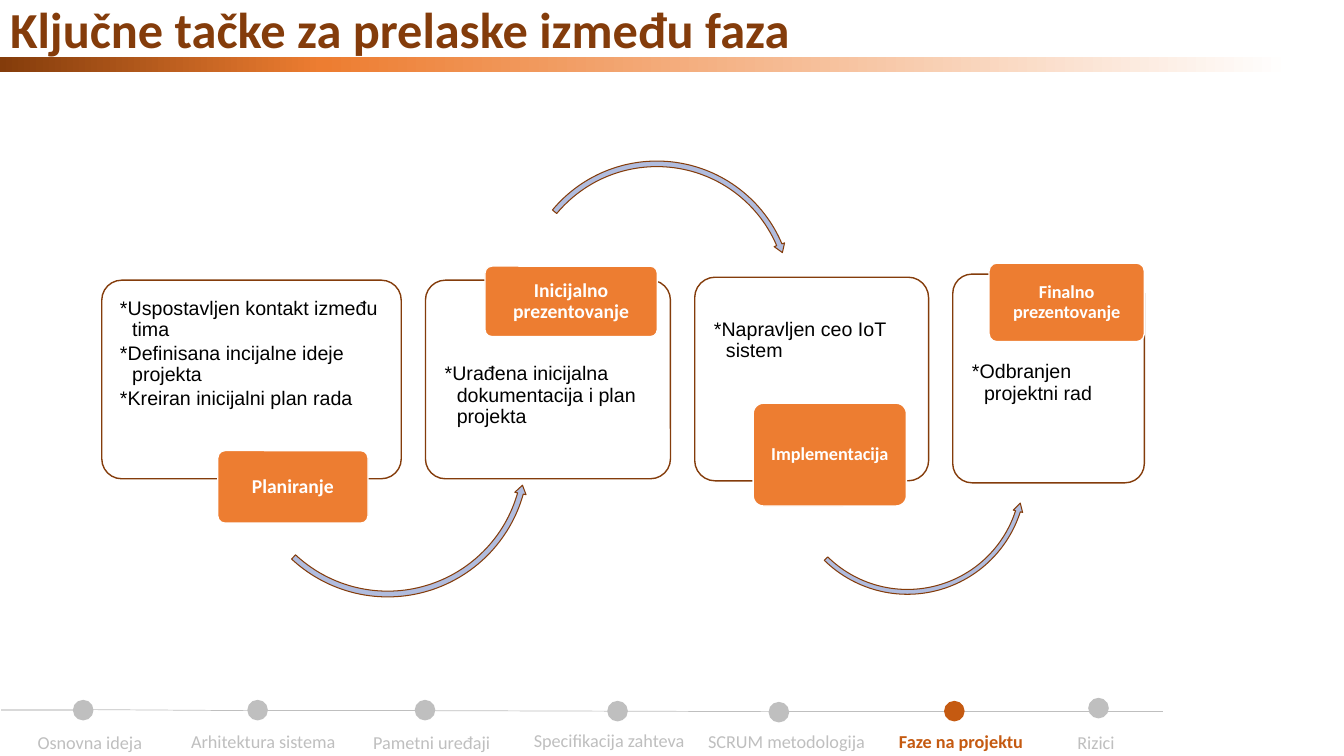
import copy

import pptx
import pptx.dml.color
import pptx.enum.shapes
import pptx.enum.text
import pptx.oxml
import pptx.oxml.ns
import pptx.util

Inches = pptx.util.Inches
Pt = pptx.util.Pt
RGBColor = pptx.dml.color.RGBColor
Shape = pptx.enum.shapes.MSO_SHAPE
Align = pptx.enum.text.PP_ALIGN
Anchor = pptx.enum.text.MSO_ANCHOR
qn = pptx.oxml.ns.qn

BROWN = RGBColor(0x84, 0x3C, 0x0B)
ORANGE = RGBColor(0xED, 0x7D, 0x31)
RUST = RGBColor(0xC5, 0x5A, 0x11)
BLUE = RGBColor(0xB0, 0xBC, 0xDE)
GREY = RGBColor(0xBF, 0xBF, 0xBF)
LIGHT_GREY = RGBColor(0xD9, 0xD9, 0xD9)
WHITE = RGBColor(0xFF, 0xFF, 0xFF)
BLACK = RGBColor(0, 0, 0)

COMPARISON_LAYOUT = 4  # a title and four bodies

# box, text area, goals, label area, label, label size
PHASES = [
    ((1.01, 2.78, 2.97, 1.97), (1.05, 2.82, 2.88, 1.46),
     ["*Uspostavljen kontakt između tima",
      "*Definisana incijalne ideje projekta",
      "*Kreiran inicijalni plan rada"],
     (2.16, 4.47, 1.49, 0.72), "Planiranje", 14),
    ((4.22, 2.78, 2.43, 1.97), (4.27, 3.47, 2.34, 1.22),
     ["*Urađena inicijalna dokumentacija i plan projekta"],
     (4.81, 2.64, 1.71, 0.7), "Inicijalno prezentovanje", 14),
    ((6.89, 2.75, 2.32, 2.02), (6.94, 3.03, 2.23, 1.26),
     ["*Napravljen ceo IoT sistem"],
     (7.47, 4, 1.52, 1.02), "Implementacija", 13),
    ((9.45, 2.72, 1.9, 2.07), (9.5, 3.45, 1.81, 1.3),
     ["*Odbranjen projektni rad"],
     (9.81, 2.61, 1.54, 0.78), "Finalno prezentovanje", 13),
]

ARROWS = [
    (Shape.LEFT_CIRCULAR_ARROW, (2.42, 3.1, 2.85, 2.85),
     (0.02, 2.11, 9.43, 79.81, 0.02)),
    (Shape.CIRCULAR_ARROW, (5.14, 1.57, 2.75, 2.75),
     (0.02, 2.18, 202.17, 131.86, 0.02)),
    (Shape.LEFT_CIRCULAR_ARROW, (7.8, 3.52, 2.4, 2.4),
     (0.02, 2.52, 10.7, 80.67, 0.02)),
]

# label, label centre, label top, dot left, dot top
STEPS = [
    ("Osnovna ideja", 0.89, 7.19, 0.73, 6.95),
    ("Arhitektura sistema", 2.61, 7.18, 2.46, 6.95),
    ("Pametni uređaji", 4.28, 7.19, 4.12, 6.95),
    ("Specifikacija zahteva", 6.04, 7.17, 6.03, 6.96),
    ("SCRUM metodologija", 7.8, 7.18, 7.63, 6.97),
    ("Faze na projektu", 9.53, 7.18, 9.37, 6.96),
    ("Rizici", 10.87, 7.19, 10.8, 6.93),
]
CURRENT_STEP = "Faze na projektu"
STEP_LABEL_WIDTH = 1.78
DOT_SIZE = 0.19

TIMELINE = [
    ((0.73, 7.04), (0.01, 7.04), LIGHT_GREY, 1.5),
    ((0.92, 7.04), (2.46, 7.05), GREY, 0.5),
    ((2.65, 7.05), (4.12, 7.05), GREY, 0.5),
    ((4.31, 7.05), (7.63, 7.06), GREY, 0.5),
    ((7.82, 7.06), (11.53, 7.06), GREY, 0.5),
]


def place(shape, area):
    shape.left, shape.top, shape.width, shape.height = map(Inches, area)


def add_shape(slide, kind, area, fill, line=None, line_width=1):
    shape = slide.shapes.add_shape(kind, *map(Inches, area))
    shape.shadow.inherit = False
    shape.fill.solid()
    shape.fill.fore_color.rgb = fill
    if line is None:
        shape.line.fill.background()
    else:
        shape.line.color.rgb = line
        shape.line.width = Pt(line_width)
    return shape


def set_frame(shape, anchor, horizontal, vertical):
    frame = shape.text_frame
    frame.auto_size = pptx.enum.text.MSO_AUTO_SIZE.NONE
    frame.word_wrap = True
    frame.vertical_anchor = anchor
    frame.margin_left = frame.margin_right = Inches(horizontal)
    frame.margin_top = frame.margin_bottom = Inches(vertical)
    return frame


def style(paragraph, size, color, bold=False, name="Calibri", align=Align.CENTER):
    paragraph.alignment = align
    font = paragraph.font
    font.name, font.size, font.bold = name, Pt(size), bold
    font.color.rgb = color


def add_title(slide, text):
    title = slide.shapes.title
    place(title, (0, -0.07, 8.33, 1.11))
    set_frame(title, Anchor.TOP, 0.1, 0.05).text = text
    style(title.text_frame.paragraphs[0], 36, BROWN, True, align=Align.LEFT)


def add_title_bar(slide):
    bar = add_shape(slide, Shape.RECTANGLE, (0, 0.57, 13.33, 0.14), WHITE)
    bar.fill.gradient()
    bar.fill.gradient_angle = 0
    stop_list = next(bar.element.iter(qn("a:gsLst")))
    stop_list.append(copy.deepcopy(stop_list[0]))
    colors = [(0, BROWN), (0.24, ORANGE), (0.96, WHITE)]
    for stop, (position, color) in zip(bar.fill.gradient_stops, colors):
        stop.position = position
        stop.color.rgb = color


def add_phase(slide, body, box_area, text_area, goals, label_area, label, size):
    """Outlined box with its goals in a body placeholder and an orange label."""
    box = add_shape(slide, Shape.ROUNDED_RECTANGLE, box_area, WHITE, BROWN)
    box.adjustments[0] = 0.1
    fill_color = next(box.element.spPr.iter(qn("a:srgbClr")))
    pptx.oxml.ns  # namespace helpers
    alpha = fill_color.makeelement(qn("a:alpha"), {"val": "90000"})
    fill_color.append(alpha)

    box.element.addnext(body.element)
    place(body, text_area)
    frame = set_frame(body, Anchor.TOP, 0.14, 0.14)
    frame.text = "\n".join(goals)
    for paragraph in frame.paragraphs:
        properties = paragraph._p.get_or_add_pPr()
        properties.set("marL", str(Inches(0.12)))
        properties.set("indent", str(-Inches(0.12)))
        properties.append(properties.makeelement(qn("a:buNone"), {}))
        paragraph.line_spacing = 0.9
        paragraph.space_before = Pt(0)
        paragraph.space_after = Pt(2)
        style(paragraph, 14, BLACK, name="Arial", align=Align.LEFT)

    tag = add_shape(slide, Shape.ROUNDED_RECTANGLE, label_area, ORANGE, WHITE)
    tag.adjustments[0] = 0.1
    set_frame(tag, Anchor.MIDDLE, 0.05, 0.04).text = label
    paragraph = tag.text_frame.paragraphs[0]
    paragraph.line_spacing = 0.9
    style(paragraph, size, WHITE, True)


def add_arrow(slide, kind, area, adjustments):
    arrow = add_shape(slide, kind, area, BLUE, BROWN, 0.75)
    for index, value in enumerate(adjustments):
        arrow.adjustments[index] = value


def add_line(slide, start, end, color, width):
    line = slide.shapes.add_connector(
        pptx.enum.shapes.MSO_CONNECTOR.STRAIGHT, *map(Inches, start + end))
    line.line.color.rgb = color
    line.line.width = Pt(width)
    properties = line.element.spPr
    properties.append(properties.makeelement(qn("a:effectLst"), {}))


def add_step(slide, text, center, top, dot_left, dot_top):
    current = text == CURRENT_STEP
    color = RUST if current else GREY
    add_shape(slide, Shape.OVAL, (dot_left, dot_top, DOT_SIZE, DOT_SIZE), color, color)
    area = (center - STEP_LABEL_WIDTH / 2, top, STEP_LABEL_WIDTH, 0.34)
    label = slide.shapes.add_textbox(*map(Inches, area))
    set_frame(label, Anchor.MIDDLE, 0, 0.05).text = text
    style(label.text_frame.paragraphs[0], 13, color, current)


def main():
    presentation = pptx.Presentation()
    presentation.slide_width = Inches(13.33)
    presentation.slide_height = Inches(7.5)
    slide = presentation.slides.add_slide(presentation.slide_layouts[COMPARISON_LAYOUT])
    title, *bodies = slide.placeholders
    add_title_bar(slide)
    add_title(slide, "Ključne tačke za prelaske između faza")
    for line in TIMELINE:
        add_line(slide, *line)
    for step in STEPS:
        add_step(slide, *step)
    for body, phase in zip(bodies, PHASES):
        add_phase(slide, body, *phase)
    for arrow in ARROWS:
        add_arrow(slide, *arrow)
    presentation.save("out.pptx")


if __name__ == "__main__":
    main()
